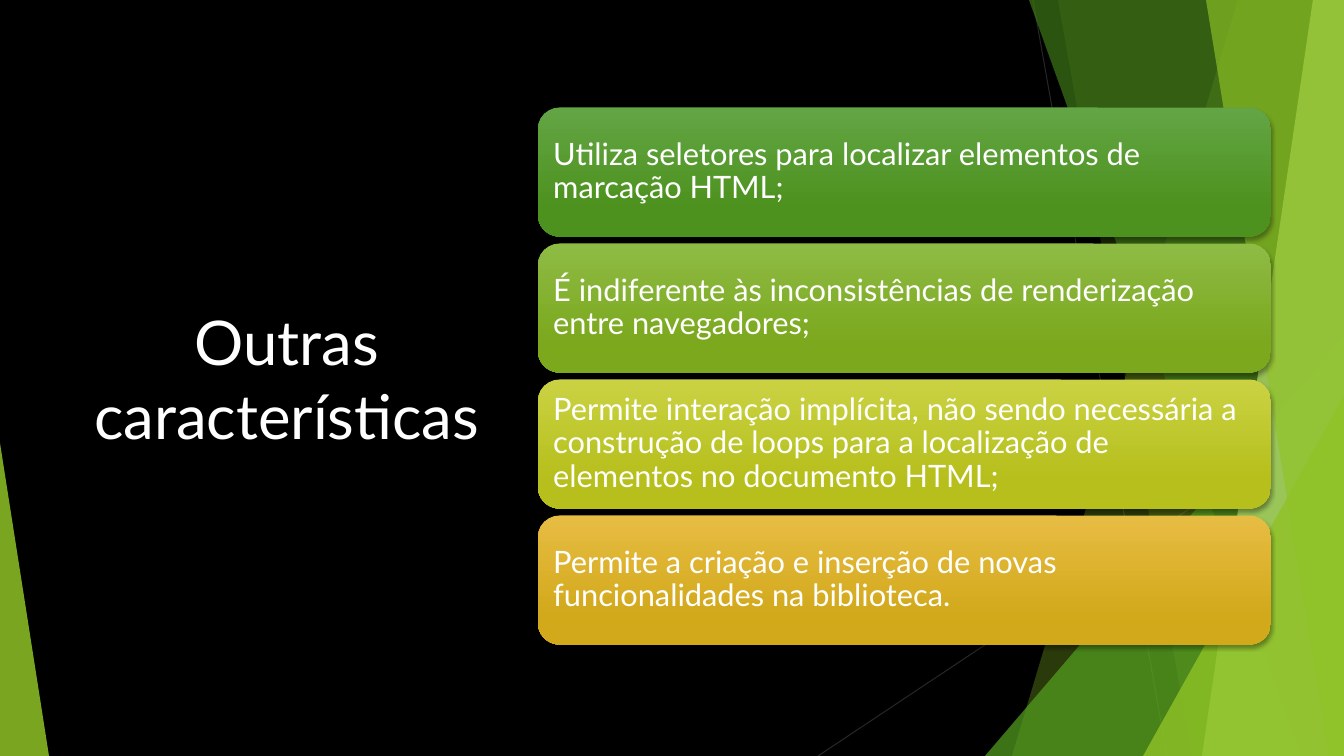
import pptx
import pptx.util
import pptx.dml.color
import pptx.enum.shapes
import pptx.enum.text
import pptx.oxml
import pptx.oxml.ns
import lxml.etree

PX = 914400 / 100.8
WIDTH, HEIGHT = 1344, 756
SHAPES = pptx.enum.shapes.MSO_SHAPE
MIDDLE = pptx.enum.text.MSO_ANCHOR.MIDDLE
ALIGN = pptx.enum.text.PP_ALIGN


def emu(*pixels):
    """Turn pixel lengths into a list of EMU."""
    return [pptx.util.Emu(round(pixel * PX)) for pixel in pixels]


def paint(color_format, color, alpha=100):
    """Set a hex colour, with its opacity in percent."""
    color_format.rgb = pptx.dml.color.RGBColor.from_string(color)
    if alpha < 100:
        srgb = color_format._xFill.find(pptx.oxml.ns.qn("a:srgbClr"))
        lxml.etree.SubElement(srgb, pptx.oxml.ns.qn("a:alpha"), val=str(alpha * 1000))


deck = pptx.Presentation()
deck.slide_width, deck.slide_height = emu(WIDTH, HEIGHT)
slide = deck.slides.add_slide(deck.slide_layouts[6])
slide.background.fill.solid()
paint(slide.background.fill.fore_color, "000000")

# Thin lines behind the green facets
for ends in [(1033, 0, 1167, HEIGHT), (WIDTH, 406, 818, HEIGHT)]:
    ray = slide.shapes.add_connector(pptx.enum.shapes.MSO_CONNECTOR.STRAIGHT, *emu(*ends))
    ray.line.width = pptx.util.Pt(0.75)
    paint(ray.line.color, "262626")
    lxml.etree.SubElement(ray._element.spPr, pptx.oxml.ns.qn("a:effectLst"))

# Facets: (top x, bottom x) bands reach the right edge; triangles give box and apex
facets = [
    ((1238, 1012), None, "90C226", 30),
    ((1058, 1192), None, "90C226", 20),
    ((985, 336, 359, 420), 1, "54A021", 72),
    ((1029, 1301), None, "3F7819", 70),
    ((1313, 1202), None, "C0E474", 70),
    ((1206, 1329), None, "90C226", 65),
    ((1143, 396, 201, 360), 1, "90C226", 80),
    ((0, 443, 49, 313), 0, "90C226", 85),
]
for place, apex, color, alpha in facets:
    if apex is None:
        top_x, bottom_x = place
        outline = slide.shapes.build_freeform(top_x, 0, scale=PX)
        outline.add_line_segments([(WIDTH, 0), (WIDTH, HEIGHT), (bottom_x, HEIGHT)], close=True)
        facet = outline.convert_to_shape()
    else:
        facet = slide.shapes.add_shape(SHAPES.ISOSCELES_TRIANGLE, *emu(*place))
        facet.adjustments[0] = apex
    facet.shadow.inherit = False
    facet.line.fill.background()
    facet.fill.solid()
    # The opacity goes on the colour element inside the solid fill
    paint(facet.fill.fore_color, color, alpha)

title = slide.shapes.add_textbox(*emu(72, 152, 430, 452)).text_frame
title.word_wrap = True
title.vertical_anchor = MIDDLE
title.text = "Outras características"
heading = title.paragraphs[0]
heading.alignment = ALIGN.CENTER
heading.font.name = "Lato"
heading.font.size = pptx.util.Pt(44)
paint(heading.font.fill.fore_color if heading.font.fill.type else heading.font.color, "FFFFFF")

features = [
    ("Utiliza seletores para localizar elementos de marcação HTML;", "63A545", "4D921E"),
    ("É\u00a0indiferente às inconsistências de renderização entre navegadores;", "8EBB44", "7BA81D"),
    ("Permite interação implícita, não sendo necessária a construção de loops "
     "para a localização de elementos no documento HTML;", "CAD243", "B6BF1B"),
    ("Permite a criação e inserção de novas funcionalidades na biblioteca.", "E7BC43", "D2A91B"),
]
for row, (feature, light, dark) in enumerate(features):
    card = slide.shapes.add_shape(SHAPES.ROUNDED_RECTANGLE, *emu(538, 107.5 + 136 * row, 733, 129))
    card.line.fill.background()
    card.fill.gradient()
    card.fill.gradient_angle = 270
    for stop, position, color in zip(card.fill.gradient_stops, (0, 0.78), (light, dark)):
        stop.position = position
        paint(stop.color, color)

    card.shadow.inherit = False
    effects = card._element.spPr.find(pptx.oxml.ns.qn("a:effectLst"))
    effects.append(pptx.oxml.parse_xml(
        '<a:outerShdw xmlns:a="http://schemas.openxmlformats.org/drawingml/2006/main" '
        'blurRad="38100" dist="25400" dir="5400000" rotWithShape="0">'
        '<a:srgbClr val="000000"><a:alpha val="35000"/></a:srgbClr></a:outerShdw>'))

    frame = card.text_frame
    frame.word_wrap = True
    frame.vertical_anchor = MIDDLE
    frame.margin_left, frame.margin_right, frame.margin_top, frame.margin_bottom = emu(9, 9, 6, 6)
    frame.text = feature
    line = frame.paragraphs[0]
    line.alignment = ALIGN.LEFT
    line.line_spacing = 0.9
    line.font.name = "Lato"
    line.font.size = pptx.util.Pt(22)
    paint(line.font.color, "FFFFFF")

deck.save("out.pptx")
